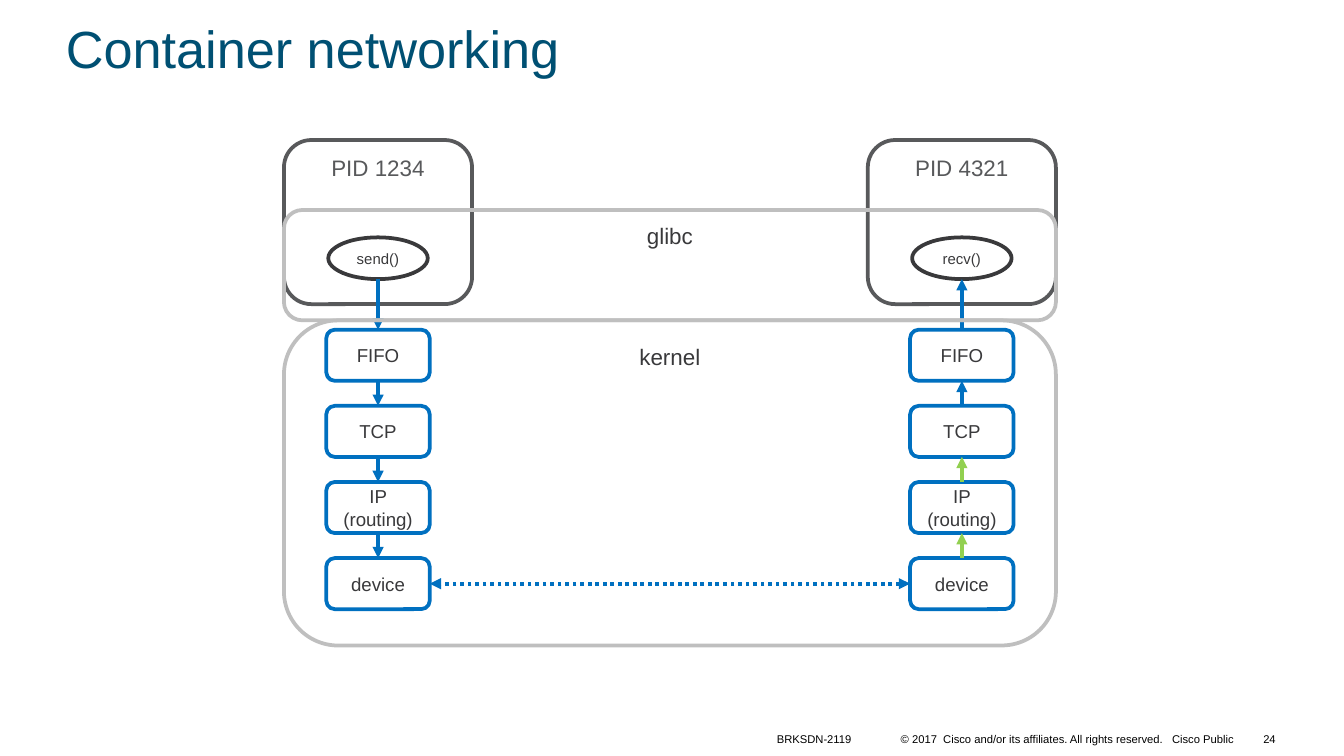
import pptx
import pptx.util
import pptx.dml.color
import pptx.enum.dml
import pptx.enum.shapes
import pptx.enum.text
import pptx.oxml.ns
import lxml.etree

Kind = pptx.enum.shapes.MSO_SHAPE
Anchor = pptx.enum.text.MSO_ANCHOR
Align = pptx.enum.text.PP_ALIGN
Pt = pptx.util.Pt
ink = {"title": "005073", "blue": "0070C0", "green": "92D050", "dark": "39393B",
       "grey": "58595B", "pale": "BFBFBF", "white": "FFFFFF", "black": "000000"}
rgb = {name: pptx.dml.color.RGBColor.from_string(code) for name, code in ink.items()}

deck = pptx.Presentation()
deck.slide_width = pptx.util.Inches(10)
deck.slide_height = deck.slide_width * 9 // 16
col = deck.slide_width / 100
row = deck.slide_height / 100
slide = deck.slides.add_slide(deck.slide_layouts[5])


def put(item, area, text, size, hue, anchor, align=Align.CENTER, edge=None, fill=None):
    left, top, width, height = area
    item.left, item.top = round(left * col), round(top * row)
    item.width, item.height = round(width * col), round(height * row)
    if edge:
        item.shadow.inherit = False
        item.line.color.rgb = rgb[edge]
        item.line.width = Pt(2)
        if fill:
            item.fill.solid()
            item.fill.fore_color.rgb = rgb[fill]
        else:
            item.fill.background()
    frame = item.text_frame
    frame.word_wrap = True
    frame.auto_size = pptx.enum.text.MSO_AUTO_SIZE.NONE
    frame.vertical_anchor = anchor
    para = frame.paragraphs[0]
    para.alignment = align
    run = para.add_run()
    run.text = text
    run.font.name = "Arial"
    run.font.size = Pt(size)
    run.font.color.rgb = rgb[hue]
    return item


def link(x1, y1, x2, y2, hue, ends, dash=None):
    line = slide.shapes.add_connector(
        pptx.enum.shapes.MSO_CONNECTOR.STRAIGHT,
        round(x1 * col), round(y1 * row), round(x2 * col), round(y2 * row))
    line.line.color.rgb = rgb[hue]
    line.line.width = Pt(2)
    if dash:
        line.line.dash_style = dash
    stroke = line.line._get_or_add_ln()
    for end in ends:
        lxml.etree.SubElement(stroke, pptx.oxml.ns.qn("a:" + end), type="triangle")
    lxml.etree.SubElement(line._element.spPr, pptx.oxml.ns.qn("a:effectLst"))
    return line


add = slide.shapes.add_shape
title = put(slide.shapes.title, (3.9, 2.9, 93.1, 8.54), "Container networking",
            28, "title", Anchor.BOTTOM, Align.LEFT)
title.text_frame.paragraphs[0].line_spacing = 0.9

wide, high, first, step = 7.7, 6.76, 43.62, 10.07
layers = ["FIFO", "TCP", "IP (routing)", "device"]
stacks = [(28.13, "PID 1234", "send()", "tailEnd", ["blue"] * 3),
          (71.57, "PID 4321", "recv()", "headEnd", ["blue", "green", "green"])]
ports = []
for mid, name, call, end, hues in stacks:
    put(add(Kind.ROUNDED_RECTANGLE, 0, 0, 1, 1), (mid - 7, 18.53, 14, 21.71),
        name, 12, "grey", Anchor.TOP, edge="grey")
    boxes = [put(add(Kind.ROUNDED_RECTANGLE, 0, 0, 1, 1),
                 (mid - wide / 2, first + step * i, wide, high),
                 layer, 10, "dark", Anchor.MIDDLE, edge="blue", fill="white")
             for i, layer in enumerate(layers)]
    put(add(Kind.OVAL, 0, 0, 1, 1), (mid - 3.7, 31.4, 7.4, 5.52),
        call, 8, "dark", Anchor.MIDDLE, edge="dark")
    link(mid, 36.92, mid, first, "blue", [end]).end_connect(boxes[0], 0)
    for i, hue in enumerate(hues):
        top = first + step * i
        line = link(mid, top + high, mid, top + step, hue, [end])
        line.begin_connect(boxes[i], 2)
        line.end_connect(boxes[i + 1], 0)
    ports.append(boxes[-1])

level = first + step * 3 + high / 2
wire = link(stacks[1][0] - wide / 2, level, stacks[0][0] + wide / 2, level, "blue",
            ["headEnd", "tailEnd"], pptx.enum.dml.MSO_LINE.ROUND_DOT)
wire.begin_connect(ports[1], 1)
wire.end_connect(ports[0], 3)

for text, top, height in [("kernel", 42.38, 43.02), ("glibc", 27.78, 14.59)]:
    put(add(Kind.ROUNDED_RECTANGLE, 0, 0, 1, 1), (21.13, top, 57.44, height),
        text, 12, "dark", Anchor.TOP, edge="pale")

notes = [
    ("© 2017  Cisco and/or its affiliates. All rights reserved.   Cisco Public",
     (65.5, 96.1, 27, 3.02), Anchor.BOTTOM, Align.RIGHT),
    ("BRKSDN-2119", (57.1, 96.1, 7.8, 3.02), Anchor.BOTTOM, Align.LEFT),
    ("24", (92, 95.02, 3.9, 5.34), Anchor.MIDDLE, Align.RIGHT),
]
for text, area, anchor, align in notes:
    note = put(slide.shapes.add_textbox(0, 0, 1, 1), area, text, 6, "black", anchor, align)
    if anchor == Anchor.BOTTOM:
        frame = note.text_frame
        frame.margin_left = frame.margin_right = round(0.7 * col)
        frame.margin_top = frame.margin_bottom = round(0.53 * row)

deck.save("out.pptx")
